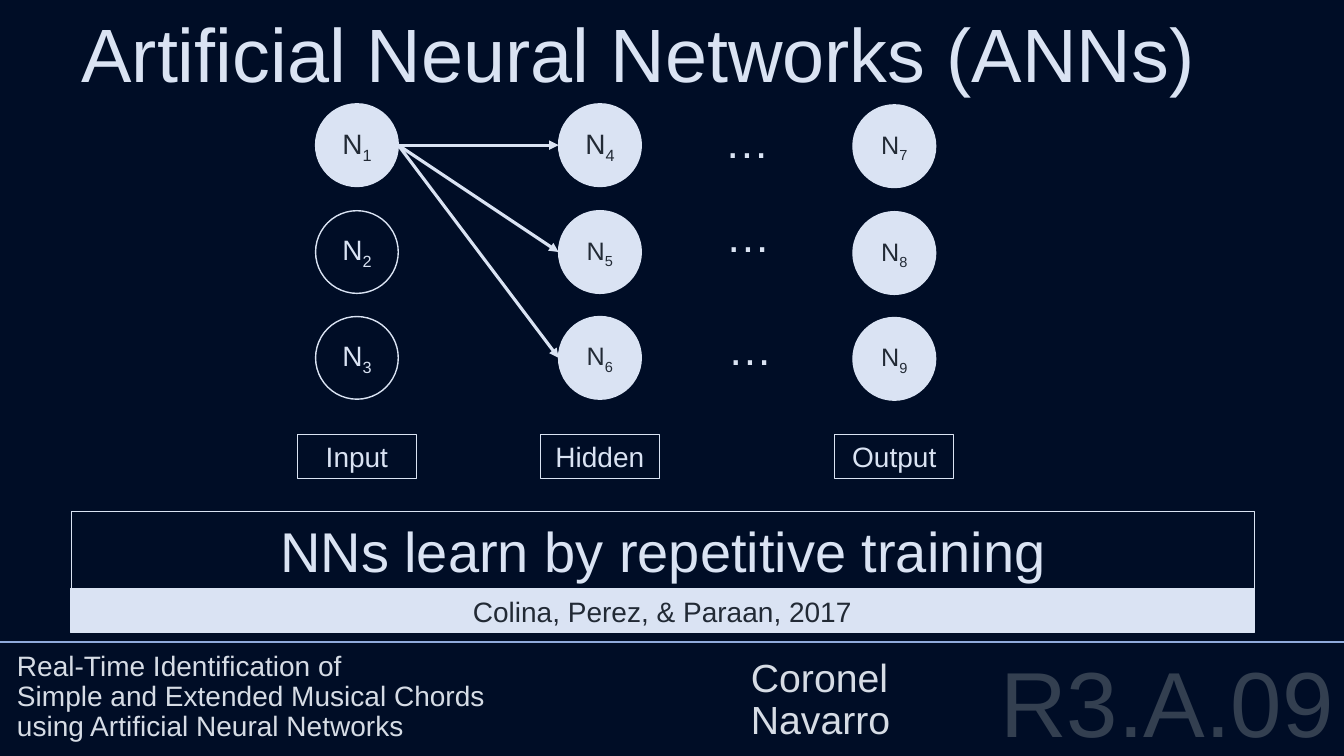
from dataclasses import dataclass

import lxml.etree
import pptx
import pptx.dml.color
import pptx.enum.shapes
import pptx.enum.text
import pptx.oxml.ns
import pptx.shapes.base
import pptx.shapes.connector
import pptx.slide
import pptx.text.text
import pptx.util

RGBColor = pptx.dml.color.RGBColor
SHAPE = pptx.enum.shapes.MSO_SHAPE
ALIGN = pptx.enum.text.PP_ALIGN
ANCHOR = pptx.enum.text.MSO_ANCHOR

NAVY = RGBColor(0x00, 0x0D, 0x26)
PALE = RGBColor(0xDA, 0xE3, 0xF3)
INK = RGBColor(0x22, 0x2A, 0x35)
FOOTER_GREY = RGBColor(0xD6, 0xDC, 0xE5)
CODE_GREY = RGBColor(0x33, 0x3F, 0x50)
RULE_BLUE = RGBColor(0x8F, 0xAA, 0xDC)

FONT = "Arial"
EMU_PER_PX = 9144  # 100 px to the inch
NODE_SIZE = 82
NODE_TOPS = (103, 209, 314)
LABEL_TOP, LABEL_WIDTH, LABEL_HEIGHT = 431, 118, 44


@dataclass(frozen=True)
class Box:
    left: int
    top: int
    width: int
    height: int


@dataclass(frozen=True)
class TextStyle:
    size: int
    color: RGBColor = PALE
    align: ALIGN = ALIGN.LEFT
    anchor: ANCHOR = ANCHOR.TOP
    line_spacing: float = 1.0
    space_before: int = 0


@dataclass(frozen=True)
class Layer:
    name: str
    left: int
    drop: int  # extra distance from the top
    sizes: tuple[int, int, int]
    filled: tuple[bool, bool, bool] = (True, True, True)


@dataclass(frozen=True)
class TextBlock:
    box: Box
    paragraphs: tuple[str, ...]
    style: TextStyle


LAYERS = (
    Layer("Input", 313, 0, (20, 20, 20), (True, False, False)),
    Layer("Hidden", 554, 0, (20, 18, 18)),
    Layer("Output", 846, 1, (18, 18, 18)),
)

ELLIPSIS_STYLE = TextStyle(32, align=ALIGN.CENTER)
FOOTER_BOTTOM = ANCHOR.BOTTOM
TEXT_BLOCKS = (
    TextBlock(Box(846, 656, 487, 104), ("R3.A.09",),
              TextStyle(66, CODE_GREY, ALIGN.RIGHT, line_spacing=0.8, space_before=10)),
    TextBlock(Box(735, 443, 510, 299), ("Coronel", "Navarro"),
              TextStyle(28, FOOTER_GREY, anchor=FOOTER_BOTTOM, line_spacing=0.9)),
    TextBlock(Box(7, 443, 728, 299),
              ("Real-Time Identification of\nSimple and Extended Musical Chords\n"
               "using Artificial Neural Networks",),
              TextStyle(20, FOOTER_GREY, anchor=FOOTER_BOTTOM, line_spacing=0.9)),
    TextBlock(Box(71, 2, 1239, 101), ("Artificial Neural Networks (ANNs)",), TextStyle(54)),
    TextBlock(Box(682, 108, 118, 64), ("…",), ELLIPSIS_STYLE),
    TextBlock(Box(683, 201, 118, 64), ("…",), ELLIPSIS_STYLE),
    TextBlock(Box(685, 313, 118, 64), ("…",), ELLIPSIS_STYLE),
)


def px(length: int) -> pptx.util.Emu:
    return pptx.util.Emu(length * EMU_PER_PX)


def place(box: Box) -> tuple[pptx.util.Emu, ...]:
    return px(box.left), px(box.top), px(box.width), px(box.height)


def add_run(paragraph: pptx.text.text._Paragraph, text: str, style: TextStyle,
            subscript: bool = False) -> None:
    run = paragraph.add_run()
    run.text = text
    run.font.name = FONT
    run.font.size = pptx.util.Pt(style.size)
    run.font.color.rgb = style.color
    if subscript:
        run._r.get_or_add_rPr().set("baseline", "-25000")


def format_paragraph(paragraph: pptx.text.text._Paragraph, style: TextStyle) -> None:
    paragraph.alignment = style.align
    paragraph.line_spacing = style.line_spacing
    paragraph.space_before = pptx.util.Pt(style.space_before)


def write(frame: pptx.text.text.TextFrame, paragraphs: tuple[str, ...],
          style: TextStyle) -> None:
    frame.word_wrap = True
    frame.vertical_anchor = style.anchor
    for index, text in enumerate(paragraphs):
        paragraph = frame.add_paragraph() if index else frame.paragraphs[0]
        format_paragraph(paragraph, style)
        for line_index, line in enumerate(text.split("\n")):
            if line_index:
                paragraph.add_line_break()
            add_run(paragraph, line, style)


def add_outlined(slide: pptx.slide.Slide, kind: SHAPE, box: Box, filled: bool,
                 line_width: float) -> pptx.shapes.base.BaseShape:
    shape = slide.shapes.add_shape(kind, *place(box))
    shape.shadow.inherit = False
    if filled:
        shape.fill.solid()
        shape.fill.fore_color.rgb = PALE
    else:
        shape.fill.background()
    shape.line.color.rgb = PALE
    shape.line.width = pptx.util.Pt(line_width)
    return shape


def add_panel(slide: pptx.slide.Slide, box: Box, text: str, size: int,
              filled: bool = False) -> None:
    shape = add_outlined(slide, SHAPE.RECTANGLE, box, filled, 0.75)
    style = TextStyle(size, INK if filled else PALE, ALIGN.CENTER, ANCHOR.MIDDLE)
    write(shape.text_frame, (text,), style)


def add_node(slide: pptx.slide.Slide, layer: Layer, row: int, number: int) -> None:
    box = Box(layer.left, NODE_TOPS[row] + layer.drop, NODE_SIZE, NODE_SIZE)
    filled = layer.filled[row]
    frame = add_outlined(slide, SHAPE.OVAL, box, filled, 1).text_frame
    style = TextStyle(layer.sizes[row], INK if filled else PALE, ALIGN.CENTER, ANCHOR.MIDDLE)
    write(frame, ("N",), style)
    add_run(frame.paragraphs[0], str(number), style, subscript=True)


def add_line(slide: pptx.slide.Slide, start: tuple[int, int], end: tuple[int, int],
             color: RGBColor, width: float, arrow: bool = False) -> None:
    line = slide.shapes.add_connector(
        pptx.enum.shapes.MSO_CONNECTOR.STRAIGHT, *map(px, start + end))
    line.line.color.rgb = color
    line.line.width = pptx.util.Pt(width)
    if arrow:
        outline = line.line._get_or_add_ln()
        lxml.etree.SubElement(outline, pptx.oxml.ns.qn("a:tailEnd"), type="triangle")
    lxml.etree.SubElement(line._element.spPr, pptx.oxml.ns.qn("a:effectLst"))


def main() -> None:
    presentation = pptx.Presentation()
    presentation.slide_width, presentation.slide_height = px(1333), px(750)
    slide = presentation.slides.add_slide(presentation.slide_layouts[6])
    slide.background.fill.solid()
    slide.background.fill.fore_color.rgb = NAVY

    # Title, footer texts and ellipses
    for block in TEXT_BLOCKS:
        text_box = slide.shapes.add_textbox(*place(block.box))
        write(text_box.text_frame, block.paragraphs, block.style)
    add_line(slide, (0, 637), (1333, 637), RULE_BLUE, 1.5)

    # Statement and its citation
    add_panel(slide, Box(71, 507, 1173, 77), "NNs learn by repetitive training", 40)
    add_panel(slide, Box(70, 584, 1174, 44), "Colina, Perez, & Paraan, 2017", 20, filled=True)

    # Network layers, each with a label centred below
    for column, layer in enumerate(LAYERS):
        for row in range(len(NODE_TOPS)):
            add_node(slide, layer, row, column * len(NODE_TOPS) + row + 1)
        label_left = layer.left + (NODE_SIZE - LABEL_WIDTH) // 2
        add_panel(slide, Box(label_left, LABEL_TOP, LABEL_WIDTH, LABEL_HEIGHT), layer.name, 20)

    # Arrows from the first input to every hidden node
    source, target = LAYERS[:2]
    half = NODE_SIZE // 2
    start = (source.left + NODE_SIZE, NODE_TOPS[0] + half)
    for top in NODE_TOPS:
        add_line(slide, start, (target.left, top + half), PALE, 2.25, arrow=True)

    presentation.save("out.pptx")


if __name__ == "__main__":
    main()
